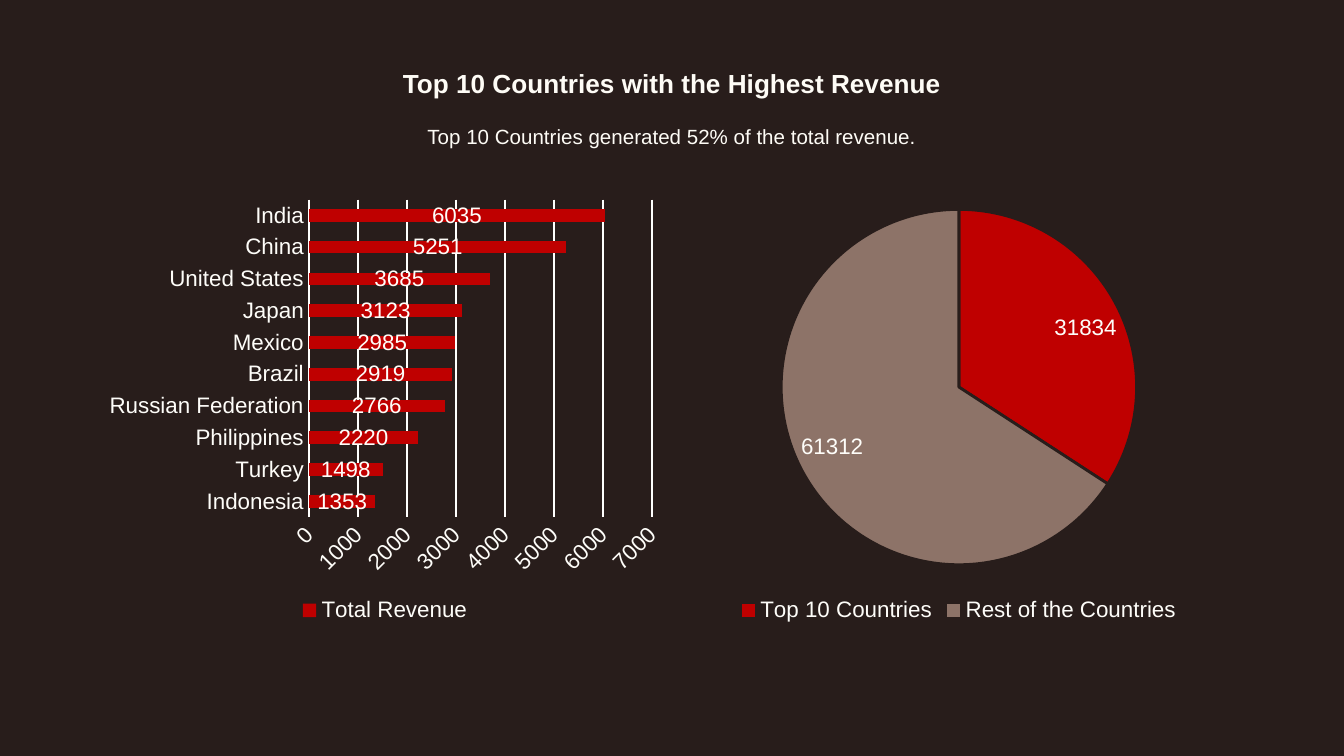
from pptx import Presentation
from pptx.chart.data import CategoryChartData
from pptx.dml.color import RGBColor
from pptx.enum.chart import XL_CHART_TYPE as ChartType
from pptx.enum.chart import XL_LABEL_POSITION as LabelPos
from pptx.enum.chart import XL_LEGEND_POSITION as LegendPos
from pptx.enum.chart import XL_TICK_MARK as TickMark
from pptx.enum.text import MSO_ANCHOR, PP_ALIGN
from pptx.util import Inches, Pt

COLORS = {
    "background": "281D1B",
    "text": "FEFCF6",
    "chart text": "FEFDF9",
    "lines": "FFFFFE",
    "top": "BF0000",
    "rest": "8D7368",
}
FONT = "Arial"

REVENUE = {
    "Indonesia": 1353,
    "Turkey": 1498,
    "Philippines": 2220,
    "Russian Federation": 2766,
    "Brazil": 2919,
    "Mexico": 2985,
    "Japan": 3123,
    "United States": 3685,
    "China": 5251,
    "India": 6035,
}
SHARES = {"Top 10 Countries": 31834, "Rest of the Countries": 61312}

# A 16:9 slide
prs = Presentation()
prs.slide_width = Inches(10)
prs.slide_height = prs.slide_width * 9 // 16
slide = prs.slides.add_slide(prs.slide_layouts[6])
slide.background.fill.solid()
slide.background.fill.fore_color.rgb = RGBColor.from_string(COLORS["background"])

# Two equal columns meet at the centre of the slide
center = prs.slide_width // 2
column = Inches(4.27)
chart_top, chart_height = Inches(1.42), Inches(3.25)


def set_font(font, size, color="chart text", bold=False):
    font.name, font.size, font.bold = FONT, Pt(size), bold
    font.color.rgb = RGBColor.from_string(COLORS[color])


def add_text(text, top, height, **font_format):
    """Add a centred line of text, one column wide, in the middle of the slide."""
    box = slide.shapes.add_textbox(center - column // 2, Inches(top), column, Inches(height))
    frame = box.text_frame
    frame.word_wrap = True
    frame.vertical_anchor = MSO_ANCHOR.TOP
    frame.margin_left = frame.margin_right = Inches(0.1)
    frame.margin_top = frame.margin_bottom = Inches(0.1)
    line = frame.paragraphs[0]
    line.alignment = PP_ALIGN.CENTER
    run = line.add_run()
    run.text = text
    set_font(run.font, **font_format)


add_text("Top 10 Countries with the Highest Revenue", 0.4, 0.63, size=14, color="text", bold=True)
add_text("Top 10 Countries generated 52% of the total revenue.", 0.83, 0.42, size=11, color="text")

# Charts: what both share
charts = []
for left, kind, series_name, values, label_position in (
    (center - column, ChartType.BAR_STACKED, "Total Revenue", REVENUE, LabelPos.CENTER),
    (center, ChartType.PIE, "Series 1", SHARES, LabelPos.BEST_FIT),
):
    chart_data = CategoryChartData(number_format="0")
    chart_data.categories = list(values)
    chart_data.add_series(series_name, list(values.values()))
    chart = slide.shapes.add_chart(kind, left, chart_top, column, chart_height, chart_data).chart
    chart.has_title = False
    set_font(chart.font, 10, "text")
    chart.has_legend = True
    chart.legend.position = LegendPos.BOTTOM
    chart.legend.include_in_layout = False
    set_font(chart.legend.font, 12)

    labels = chart.plots[0].series[0].data_labels
    labels.show_value = True
    labels.position = label_position
    labels.number_format, labels.number_format_is_linked = "0", False
    set_font(labels.font, 12)
    charts.append(chart)

revenue_chart, share_chart = charts

# Revenue bars
bars = revenue_chart.plots[0]
bars.gap_width, bars.overlap = 150, 100
bars.vary_by_categories = False
bar_fill = bars.series[0].format.fill
bar_fill.solid()
bar_fill.fore_color.rgb = RGBColor.from_string(COLORS["top"])

countries, amounts = revenue_chart.category_axis, revenue_chart.value_axis
for axis in (countries, amounts):
    axis.major_tick_mark = axis.minor_tick_mark = TickMark.NONE
    set_font(axis.tick_labels.font, 12)
countries.has_major_gridlines = False
amounts.has_major_gridlines = True
for line in (countries.format.line, amounts.major_gridlines.format.line):
    line.width = Pt(0.75)
    line.color.rgb = RGBColor.from_string(COLORS["lines"])
amounts.format.line.fill.background()
amounts.minimum_scale, amounts.maximum_scale, amounts.major_unit = 0, 7000, 1000
amounts.tick_labels.number_format = "0"
amounts.tick_labels.number_format_is_linked = False
# Amounts slant upwards by 45 degrees
for body in revenue_chart.element.xpath(".//c:valAx/c:txPr/a:bodyPr"):
    body.set("rot", str(-45 * 60000))

# Share of the total
pie = share_chart.plots[0]
pie.vary_by_categories = True
for index, name in enumerate(("top", "rest")):
    slice_format = pie.series[0].points[index].format
    slice_format.fill.solid()
    slice_format.fill.fore_color.rgb = RGBColor.from_string(COLORS[name])
    slice_format.line.width = Pt(1.5)
    slice_format.line.color.rgb = RGBColor.from_string(COLORS["background"])

prs.save("out.pptx")
